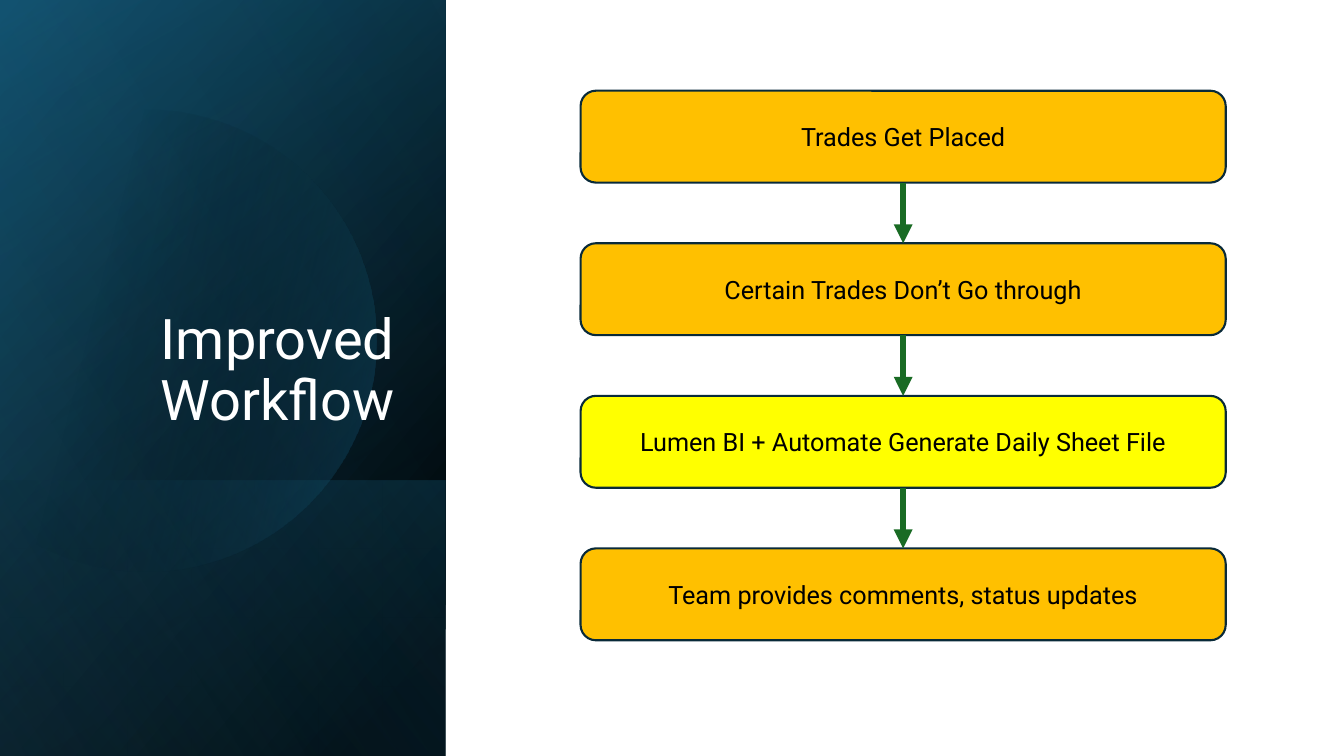
from itertools import pairwise
from math import acos, cos, sin

from lxml.etree import SubElement
from pptx import Presentation
from pptx.dml.color import RGBColor
from pptx.enum.shapes import MSO_CONNECTOR as Connector, MSO_SHAPE as Shape
from pptx.enum.text import MSO_ANCHOR as Anchor, PP_ALIGN as Align
from pptx.oxml.ns import qn
from pptx.util import Inches, Pt

WHITE = RGBColor(0xFF, 0xFF, 0xFF)
BLACK = RGBColor(0x00, 0x00, 0x00)
DEEP_BLUE = RGBColor(0x10, 0x48, 0x62)
TEAL = RGBColor(0x15, 0x60, 0x82)
SKY = RGBColor(0x46, 0xB1, 0xE1)
AMBER = RGBColor(0xFF, 0xC0, 0x00)
YELLOW = RGBColor(0xFF, 0xFF, 0x00)
OUTLINE = RGBColor(0x09, 0x2A, 0x39)
GREEN = RGBColor(0x19, 0x6B, 0x24)

WIDTH, HEIGHT = Inches(13.33), Inches(7.5)
PANEL_WIDTH = 33.16
STEP_LEFT, STEP_WIDTH = 43.2, 48
STEP_TOP, STEP_HEIGHT, STEP_PITCH = 12, 12.15, 20.18

# Stops: position %, colour, opacity %
PANEL_LAYERS = [
    (0, 100, 50, [(8, BLACK, 100), (100, DEEP_BLUE, 100)]),
    (0, 100, 30, [(0, BLACK, 0), (99, TEAL, 46)]),
    (63.5, 36.5, 130, [(2, TEAL, 29), (100, BLACK, 30)]),
]
DISC_STOPS = [(29, BLACK, 0), (100, TEAL, 43)]
SHEEN = (0, 100, 120, [(0, BLACK, 0), (99, SKY, 11)])

STEPS = [
    ("Trades Get Placed", AMBER),
    ("Certain Trades Don’t Go through", AMBER),
    ("Lumen BI + Automate Generate Daily Sheet File", YELLOW),
    ("Team provides comments, status updates", AMBER),
]


def across(share):
    return round(WIDTH * share / 100)


def down(share):
    return round(HEIGHT * share / 100)


class WorkflowSlide:
    """Draws on one slide; lengths are percent of its width or height."""

    font = "Roboto"

    def __init__(self, slide):
        self.shapes = slide.shapes

    def set_text(self, shape, text, size, color, align, anchor):
        frame = shape.text_frame
        frame.word_wrap = True
        frame.vertical_anchor = anchor
        frame.text = text
        paragraph = frame.paragraphs[0]
        paragraph.alignment = align
        font = paragraph.runs[0].font
        font.name, font.size = self.font, Pt(size)
        font.color.rgb = color
        return paragraph

    def gradient(self, shape, angle, stops):
        """Fill with a linear gradient, clockwise angle, without outline."""
        shape.shadow.inherit = False
        shape.line.fill.background()
        shape.fill.gradient()
        grad = shape._element.spPr.find(qn("a:gradFill"))
        grad.set("rotWithShape", "1")
        stop_list = grad.find(qn("a:gsLst"))
        for old_stop in list(stop_list):
            stop_list.remove(old_stop)
        for position, color, opacity in stops:
            stop = SubElement(stop_list, qn("a:gs"), pos=str(position * 1000))
            tint = SubElement(stop, qn("a:srgbClr"), val=str(color))
            SubElement(tint, qn("a:alpha"), val=str(opacity * 1000))
        direction = grad.find(qn("a:lin"))
        direction.set("ang", str(angle * 60000))
        direction.set("scaled", "0")

    def panel_layer(self, top, height, angle, stops):
        """Cover part of the left panel with a mirrored quarter-turned rectangle."""
        wide, tall = across(PANEL_WIDTH), down(height)
        shift = (wide - tall) // 2
        layer = self.shapes.add_shape(
            Shape.RECTANGLE, shift, down(top) - shift, tall, wide)
        layer.rotation = 90
        layer._element.spPr.find(qn("a:xfrm")).set("flipH", "1")
        self.gradient(layer, angle, stops)

    def disc(self, center_x, center_y, radius, angle, stops):
        """Draw a circle cut off by the slide's left edge; radius in % of height."""
        x, y, r = across(center_x), down(center_y), down(radius)
        reach, count = acos(-x / r), 120
        turns = [reach * (2 * i / count - 1) for i in range(count + 1)]
        points = [(round(x + r * cos(t)), round(y + r * sin(t))) for t in turns]
        builder = self.shapes.build_freeform(*points[0])
        builder.add_line_segments(points[1:], close=True)
        self.gradient(builder.convert_to_shape(), angle, stops)

    def title(self, text, left, top, width, height):
        box = self.shapes.add_textbox(
            across(left), down(top), across(width), down(height))
        heading = self.set_text(box, text, 40, WHITE, Align.RIGHT, Anchor.BOTTOM)
        heading.line_spacing = 0.9

    def step(self, row, text, color):
        box = self.shapes.add_shape(
            Shape.ROUNDED_RECTANGLE, across(STEP_LEFT),
            down(STEP_TOP + row * STEP_PITCH), across(STEP_WIDTH), down(STEP_HEIGHT))
        box.shadow.inherit = False
        box.fill.solid()
        box.fill.fore_color.rgb = color
        box.line.color.rgb, box.line.width = OUTLINE, Pt(1.5)
        self.set_text(box, text, 18, BLACK, Align.CENTER, Anchor.MIDDLE)
        return box

    def arrow(self, upper, lower):
        link = self.shapes.add_connector(Connector.STRAIGHT, 0, 0, 0, 0)
        link.begin_connect(upper, 2)
        link.end_connect(lower, 0)
        link.line.color.rgb, link.line.width = GREEN, Pt(4.5)
        outline = link._element.spPr.find(qn("a:ln"))
        SubElement(outline, qn("a:tailEnd"), type="triangle")
        SubElement(link._element.spPr, qn("a:effectLst"))


def main():
    deck = Presentation()
    deck.slide_width, deck.slide_height = WIDTH, HEIGHT
    page = WorkflowSlide(deck.slides.add_slide(deck.slide_layouts[6]))

    for layer in PANEL_LAYERS:
        page.panel_layer(*layer)
    page.disc(10.8, 45.07, 30.53, 14, DISC_STOPS)
    page.panel_layer(*SHEEN)
    page.title("Improved Workflow", 3.83, 8.53, 26.25, 49.33)

    steps = [page.step(row, *content) for row, content in enumerate(STEPS)]
    for upper, lower in pairwise(steps):
        page.arrow(upper, lower)

    deck.save("out.pptx")


if __name__ == "__main__":
    main()
